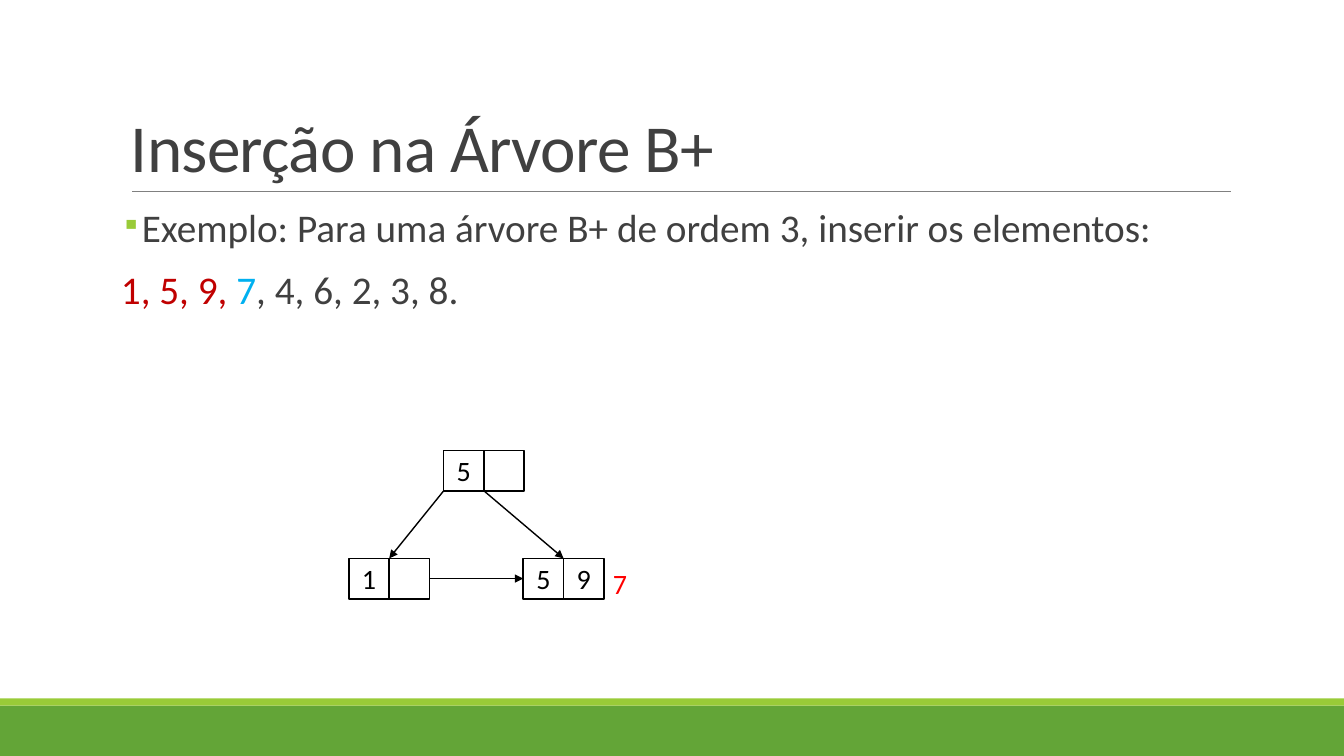
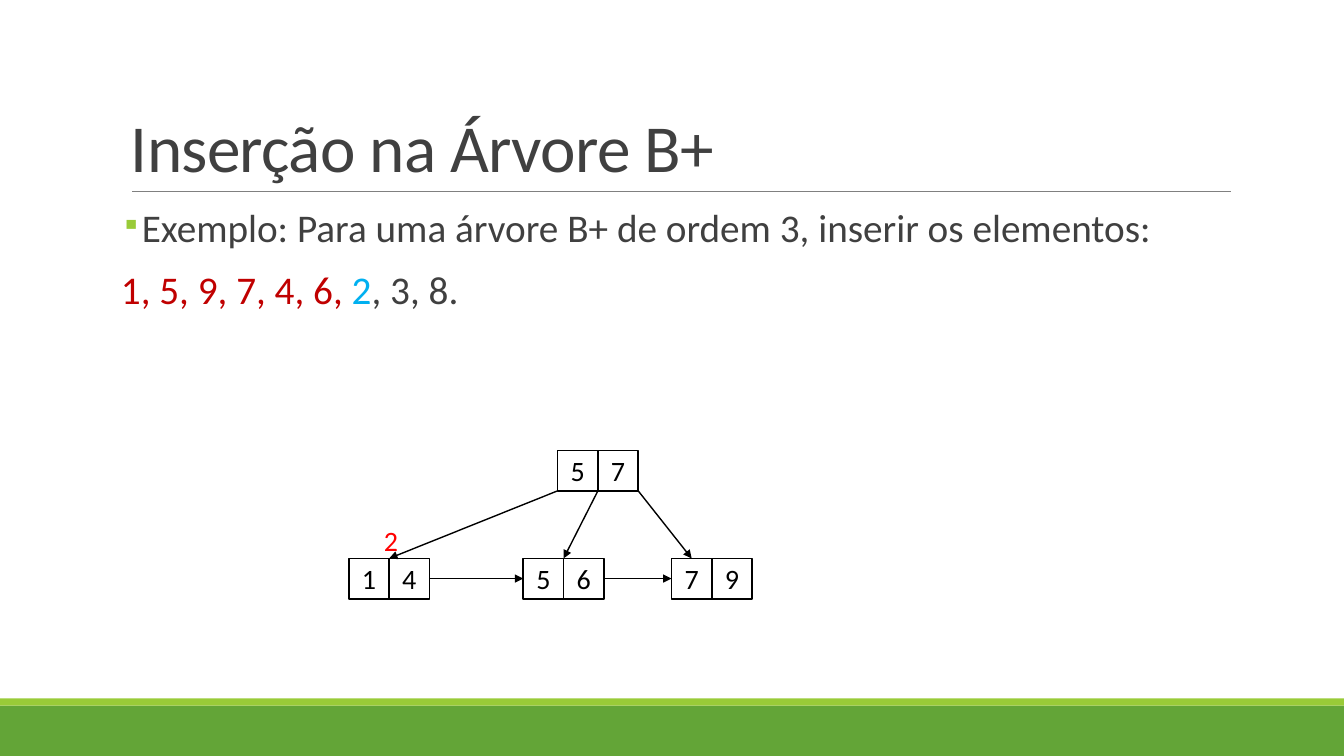
import pptx
import pptx.util
import pptx.dml.color
import pptx.enum.shapes
import pptx.enum.text
import pptx.oxml.xmlchemy

PX = 9144  # 100 px to the inch
WIDE, HIGH = 1333, 750
CELL, ROOT, LEAF = 40, 447, 554
FONT = "Calibri"
COLORS = {
    "green": "63A537", "lime": "99CB38", "rule": "808080", "ink": "404040",
    "done": "C00000", "next": "00B0F0", "new": "FF0000",
    "black": "000000", "white": "FFFFFF",
}
RECT = pptx.enum.shapes.MSO_SHAPE.RECTANGLE
ALIGN = pptx.enum.text.PP_ALIGN
ANCHOR = pptx.enum.text.MSO_ANCHOR
FIT = pptx.enum.text.MSO_AUTO_SIZE


def rgb(name):
    return pptx.dml.color.RGBColor.from_string(COLORS[name])


def px(*sizes):
    return [pptx.util.Emu(size * PX) for size in sizes]


def add_xml(parent, tag, **attrs):
    node = pptx.oxml.xmlchemy.OxmlElement(tag)
    for key, value in attrs.items():
        node.set(key, str(value))
    parent.append(node)
    return node


def write(par, *runs, size=20, align=None, space=0, line=None):
    """Fill a paragraph with (text, colour) runs."""
    par.alignment = align
    if line:
        par.line_spacing = line
    for text, color in runs:
        run = par.add_run()
        run.text = text
        run.font.name = FONT
        run.font.size = pptx.util.Pt(size)
        run.font.color.rgb = rgb(color)
        if space:
            run.font._element.set("spc", str(space))


def add_box(slide, left, top, width, height, wrap=True):
    frame = slide.shapes.add_textbox(*px(left, top, width, height)).text_frame
    frame.word_wrap = wrap
    return frame


def add_rect(shapes, left, top, width, height, fill, edge=None):
    rect = shapes.add_shape(RECT, *px(left, top, width, height))
    rect.shadow.inherit = False
    rect.fill.solid()
    rect.fill.fore_color.rgb = rgb(fill)
    if edge:
        rect.line.color.rgb = rgb(edge)
        rect.line.width = pptx.util.Pt(1.25)
    else:
        rect.line.fill.background()
    return rect


def add_line(slide, start, end, color="black", width=1, arrow=True):
    kind = pptx.enum.shapes.MSO_CONNECTOR.STRAIGHT
    line = slide.shapes.add_connector(kind, *px(*start, *end))
    line.line.color.rgb = rgb(color)
    line.line.width = pptx.util.Pt(width)
    if arrow:
        add_xml(line.line._get_or_add_ln(), "a:tailEnd", type="triangle")
    add_xml(line._element.spPr, "a:effectLst")
    return line


def add_node(slide, left, top, keys):
    """Draw a tree node as a group with one cell per key."""
    group = slide.shapes.add_group_shape()
    cells = []
    for col, key in enumerate(keys):
        cell = add_rect(group.shapes, left + col * CELL, top, CELL, CELL,
                        "white", "black")
        if key:
            frame = cell.text_frame
            frame.vertical_anchor = ANCHOR.MIDDLE
            write(frame.paragraphs[0], (key, "black"),
                  align=ALIGN.CENTER, space=-300)
        cells.append(cell)
    return cells


def add_note(slide, left, top, key):
    frame = add_box(slide, left, top, 30, 44, wrap=False)
    frame.auto_size = FIT.SHAPE_TO_FIT_TEXT
    write(frame.paragraphs[0], (key, "new"), space=-300)


def add_base(slide):
    """Draw the bands, the title and its rule."""
    add_rect(slide.shapes, 0, 700, WIDE, 50, "green")
    add_rect(slide.shapes, 0, 693, WIDE, 7, "lime")
    add_line(slide, (131, 190), (1221, 190), "rule", 0.5, arrow=False)
    frame = add_box(slide, 120, 31, 1100, 159)
    frame.vertical_anchor = ANCHOR.BOTTOM
    write(frame.paragraphs[0], ("Inserção na Árvore B+", "ink"),
          size=48, space=-50, line=0.85)


def add_body(slide, done, key, rest):
    frame = add_box(slide, 120, 202, 1100, 440)
    frame.margin_left = frame.margin_right = 0
    task, items = frame.paragraphs[0], frame.add_paragraph()
    write(task, ("Exemplo: Para uma árvore B+ de ordem 3, "
                 "inserir os elementos:", "ink"), size=28, line=0.9)
    props = task._p.get_or_add_pPr()
    props.set("marL", str(16 * PX))
    props.set("indent", str(-16 * PX))
    tint = add_xml(props, "a:buClr")
    add_xml(tint, "a:srgbClr", val=COLORS["lime"])
    add_xml(props, "a:buSzPct", val=71000)
    add_xml(props, "a:buChar", char="▪")
    task.space_after = pptx.util.Pt(2)
    write(items, (done, "done"), (key, "next"), (rest, "ink"),
          size=28, line=0.9)
    items.space_before = pptx.util.Pt(12)


def add_tree(slide, left, keys, leaves):
    """Draw a root above its linked leaves, given as (left, keys)."""
    add_node(slide, left, ROOT, keys)
    nodes = [add_node(slide, x, LEAF, vals) for x, vals in leaves]
    for col, (x, _) in enumerate(leaves):
        start = (left + col * CELL, ROOT + CELL)
        if col < 2:
            add_line(slide, start, (x + CELL, LEAF))
        else:
            line = add_line(slide, start, (x + CELL // 2, LEAF))
            line.end_connect(nodes[col][0], 0)
    mid = LEAF + CELL // 2
    for col in range(len(nodes) - 1):
        line = add_line(slide, (leaves[col][0] + 2 * CELL, mid),
                        (leaves[col + 1][0], mid))
        line.begin_connect(nodes[col][-1], 3)
        line.end_connect(nodes[col + 1][0], 1)


STEPS = [
    {"body": ("1, 5, 9, ", "7", ", 4, 6, 2, 3, 8."),
     "tree": (440, ("5", ""), [(346, ("1", "")), (519, ("5", "9"))]),
     "note": (598, 557)},
    {"body": ("1, 5, 9, 7, 4, 6, ", "2", ", 3, 8."),
     "tree": (553, ("5", "7"), [(346, ("1", "4")), (519, ("5", "6")),
                                (666, ("7", "9"))]),
     "note": (371, 514)},
]


def main():
    deck = pptx.Presentation()
    deck.slide_width, deck.slide_height = px(WIDE, HIGH)
    for step in STEPS:
        slide = deck.slides.add_slide(deck.slide_layouts[6])
        add_base(slide)
        add_body(slide, *step["body"])
        add_tree(slide, *step["tree"])
        add_note(slide, *step["note"], step["body"][1])
    deck.save("out.pptx")


if __name__ == "__main__":
    main()
